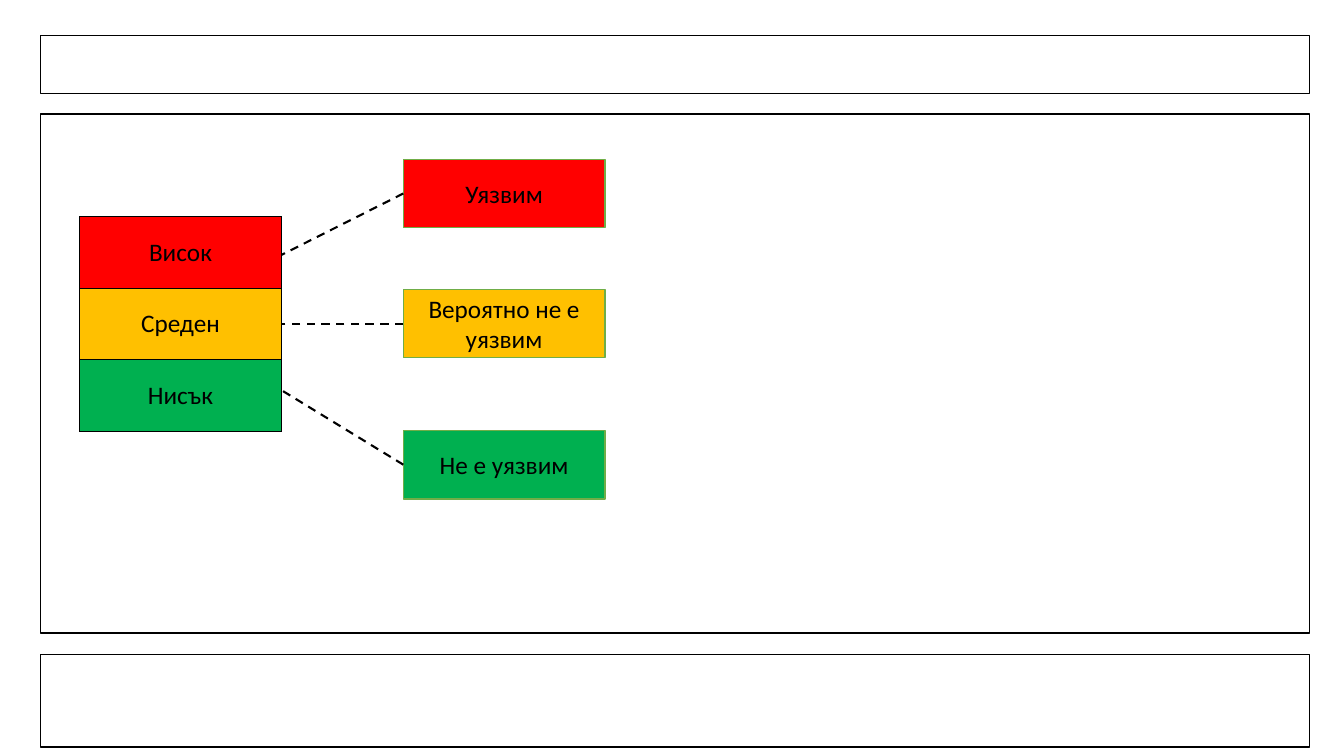
from dataclasses import dataclass

from lxml import etree
from pptx import Presentation
from pptx.dml.color import RGBColor
from pptx.enum.dml import MSO_LINE
from pptx.enum.shapes import MSO_CONNECTOR, MSO_SHAPE
from pptx.enum.text import MSO_ANCHOR, PP_ALIGN
from pptx.oxml.ns import qn
from pptx.util import Inches, Pt

RECTANGLE = MSO_SHAPE.RECTANGLE
STRAIGHT = MSO_CONNECTOR.STRAIGHT
DASH = MSO_LINE.DASH
MIDDLE = MSO_ANCHOR.MIDDLE
CENTER = PP_ALIGN.CENTER

BLACK, OUTCOME_BORDER = "000000", "70AD47"
FRAME_LEFT, FRAME_WIDTH = 0.4, 12.59
TABLE_LEFT, TABLE_TOP, ROW_HEIGHT = 0.79, 2.15, 0.71
OUTCOME_LEFT, OUTCOME_HEIGHT = 4, 0.68
BOX_WIDTH = 2


@dataclass
class Frame:
    """An empty outlined band of the slide."""
    top: float
    height: float


@dataclass
class Level:
    """A risk level, its outcome box and the place where their link ends."""
    name: str
    outcome: str
    color: str
    outcome_top: float
    link_end: float


FRAMES = [Frame(0.35, 0.58), Frame(6.49, 0.92), Frame(1.13, 5.15)]
LEVELS = [
    Level("Висок", "Уязвим", "FF0000", 1.58, 2.53),
    Level("Среден", "Вероятно не е уязвим", "FFC000", 2.87, 3.21),
    Level("Нисък", "Не е уязвим", "00B050", 4.27, 3.87),
]


def rgb(color: str) -> RGBColor:
    """Turn a hex string into a colour."""
    return RGBColor.from_string(color)


def write(text_frame, text: str) -> None:
    """Write centred black text."""
    text_frame.word_wrap = True
    paragraph = text_frame.paragraphs[0]
    paragraph.text = text
    paragraph.alignment = CENTER
    paragraph.font.name = "Calibri"
    paragraph.font.size = Pt(18)
    paragraph.font.color.rgb = rgb(BLACK)


def add_box(slide, left: float, top: float, width: float, height: float, border: str):
    """Add an unfilled rectangle with a thin border."""
    shape = slide.shapes.add_shape(
        RECTANGLE, Inches(left), Inches(top), Inches(width), Inches(height))
    shape.shadow.inherit = False
    shape.fill.background()
    shape.line.color.rgb = rgb(border)
    shape.line.width = Pt(1)
    return shape


def add_cell_borders(cell) -> None:
    """Draw a black border on all four sides, placed before the cell fill."""
    properties = cell._tc.get_or_add_tcPr()
    for position, side in enumerate(("lnL", "lnR", "lnT", "lnB")):
        line = etree.Element(qn(f"a:{side}"), w=str(Pt(1)))
        fill = etree.SubElement(line, qn("a:solidFill"))
        etree.SubElement(fill, qn("a:srgbClr"), val=BLACK)
        properties.insert(position, line)


def add_level_table(slide) -> None:
    """Add the one-column table of risk levels."""
    table = slide.shapes.add_table(
        len(LEVELS), 1, Inches(TABLE_LEFT), Inches(TABLE_TOP),
        Inches(BOX_WIDTH), Inches(ROW_HEIGHT * len(LEVELS))).table
    table.first_row = False
    table.horz_banding = False
    for row, level in enumerate(LEVELS):
        table.rows[row].height = Inches(ROW_HEIGHT)
        cell = table.cell(row, 0)
        cell.fill.solid()
        cell.fill.fore_color.rgb = rgb(level.color)
        cell.vertical_anchor = MIDDLE
        write(cell.text_frame, level.name)
        add_cell_borders(cell)


def add_outcome(slide, level: Level) -> None:
    """Add the coloured outcome box of a level."""
    shape = add_box(slide, OUTCOME_LEFT, level.outcome_top, BOX_WIDTH,
                    OUTCOME_HEIGHT, OUTCOME_BORDER)
    shape.fill.solid()
    shape.fill.fore_color.rgb = rgb(level.color)
    shape.text_frame.vertical_anchor = MIDDLE
    write(shape.text_frame, level.outcome)


def add_link(slide, level: Level) -> None:
    """Add the dashed line from an outcome box to the level table."""
    connector = slide.shapes.add_connector(
        STRAIGHT, Inches(OUTCOME_LEFT), Inches(level.outcome_top + OUTCOME_HEIGHT / 2),
        Inches(TABLE_LEFT + BOX_WIDTH), Inches(level.link_end))
    connector.line.color.rgb = rgb(BLACK)
    connector.line.width = Pt(1.5)
    connector.line.dash_style = DASH
    etree.SubElement(connector._element.spPr, qn("a:effectLst"))


def main() -> None:
    """Build and save the slide."""
    presentation = Presentation()
    presentation.slide_width = Inches(13.33)
    presentation.slide_height = Inches(7.5)
    slide = presentation.slides.add_slide(presentation.slide_layouts[6])
    for frame in FRAMES:
        add_box(slide, FRAME_LEFT, frame.top, FRAME_WIDTH, frame.height, BLACK)
    add_level_table(slide)
    for level in LEVELS:
        add_outcome(slide, level)
    for level in LEVELS:
        add_link(slide, level)
    presentation.save("out.pptx")


main()
